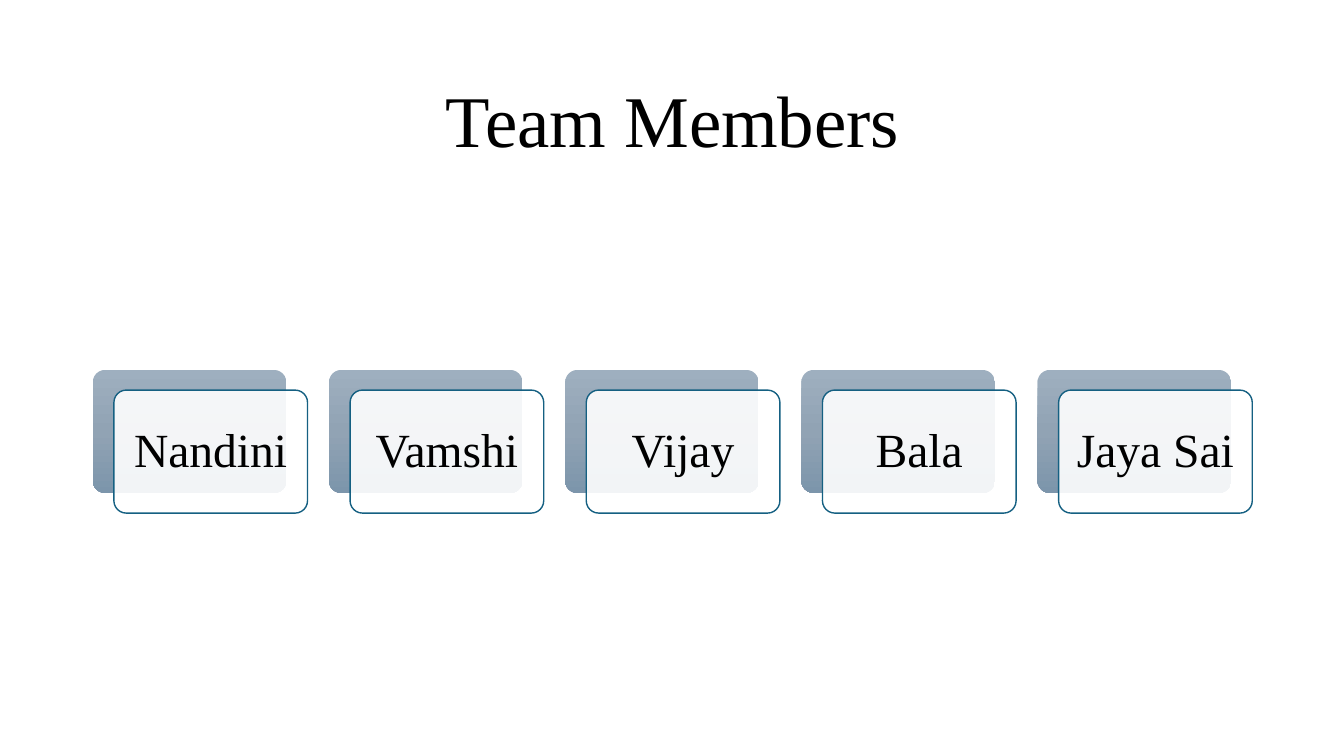
from copy import deepcopy

from lxml import etree
from pptx import Presentation
from pptx import util as u
from pptx.dml.color import RGBColor
from pptx.enum import shapes, text
from pptx.oxml.ns import qn

FONT = "Times New Roman"
MEMBERS = ["Nandini", "Vamshi", "Vijay", "Bala", "Jaya Sai"]
BACK_GRADIENT = [(0, "9EAFBF"), (0.5, "91A3B4"), (1, "7C95AB")]
CARD_WIDTH, CARD_HEIGHT = 1.92, 1.22
CARD_SHIFT_X, CARD_SHIFT_Y = 0.21, 0.2


def color(hex_value):
    return RGBColor.from_string(hex_value)


def write_text(shape, content, size, inset):
    """Put one centred line into a shape."""
    frame = shape.text_frame
    frame_format = {"word_wrap": True, "vertical_anchor": text.MSO_ANCHOR.MIDDLE}
    for side in ("left", "top", "right", "bottom"):
        frame_format["margin_" + side] = u.Inches(inset)
    for name, value in frame_format.items():
        setattr(frame, name, value)
    paragraph = frame.paragraphs[0]
    paragraph.text = content
    paragraph.alignment = text.PP_ALIGN.CENTER
    paragraph.line_spacing = 0.9
    for name, value in {"name": FONT, "size": u.Pt(size)}.items():
        setattr(paragraph.font, name, value)
    paragraph.font.color.rgb = color("000000")


def add_title(slide, content, left, top, width, height):
    title = slide.shapes.title
    box = {"left": left, "top": top, "width": width, "height": height}
    for name, value in box.items():
        setattr(title, name, u.Inches(value))
    write_text(title, content, 52, 0.1)


def add_rounded(group, left, top):
    shape = group.shapes.add_shape(
        shapes.MSO_SHAPE.ROUNDED_RECTANGLE,
        u.Inches(left), u.Inches(top), u.Inches(CARD_WIDTH), u.Inches(CARD_HEIGHT))
    shape.adjustments[0] = 0.1
    shape.shadow.inherit = False
    return shape


def fill_gradient(shape, stops):
    """Vertical gradient with a middle stop added to the default two."""
    shape.fill.gradient()
    shape.fill.gradient_angle = 270
    stop_list = shape.element.spPr.find(".//" + qn("a:gsLst"))
    stop_list.insert(1, deepcopy(stop_list[0]))
    for stop, (position, hex_value) in zip(shape.fill.gradient_stops, stops):
        stop.position = position
        stop.color.rgb = color(hex_value)


def add_member(group, name, left, top):
    # Gradient panel behind
    back = add_rounded(group, left, top)
    fill_gradient(back, BACK_GRADIENT)
    back.line.fill.background()

    # Translucent card in front with the name
    card = add_rounded(group, left + CARD_SHIFT_X, top + CARD_SHIFT_Y)
    card.fill.solid()
    card.fill.fore_color.rgb = color("FFFFFF")
    white = card.element.spPr.find(qn("a:solidFill"))[0]
    etree.SubElement(white, qn("a:alpha"), val="90000")
    card.line.color.rgb = color("156082")
    card.line.width = u.Pt(1)
    write_text(card, name, 34, 0.13)


def add_team(slide, left, top, width):
    """Spread the member cards evenly over the given width."""
    group = slide.shapes.add_group_shape()
    step = (width - CARD_WIDTH - CARD_SHIFT_X) / (len(MEMBERS) - 1)
    for index, name in enumerate(MEMBERS):
        add_member(group, name, left + index * step, top)


def main():
    presentation = Presentation()
    presentation.slide_width = u.Inches(13.33)
    presentation.slide_height = u.Inches(7.5)
    slide = presentation.slides.add_slide(presentation.slide_layouts[5])
    add_title(slide, "Team Members", 0.92, 0.61, 11.5, 1.24)
    add_team(slide, 0.92, 3.67, 11.5)
    presentation.save("out.pptx")


if __name__ == "__main__":
    main()
